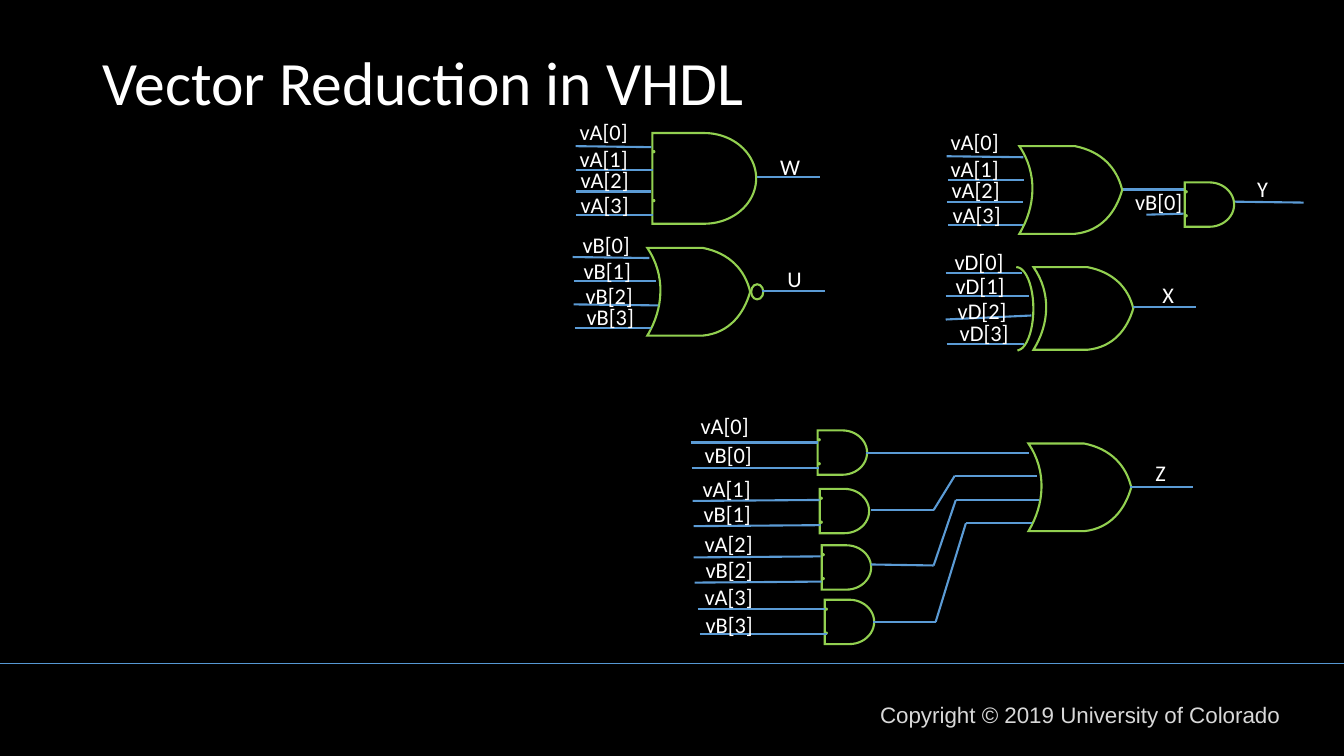
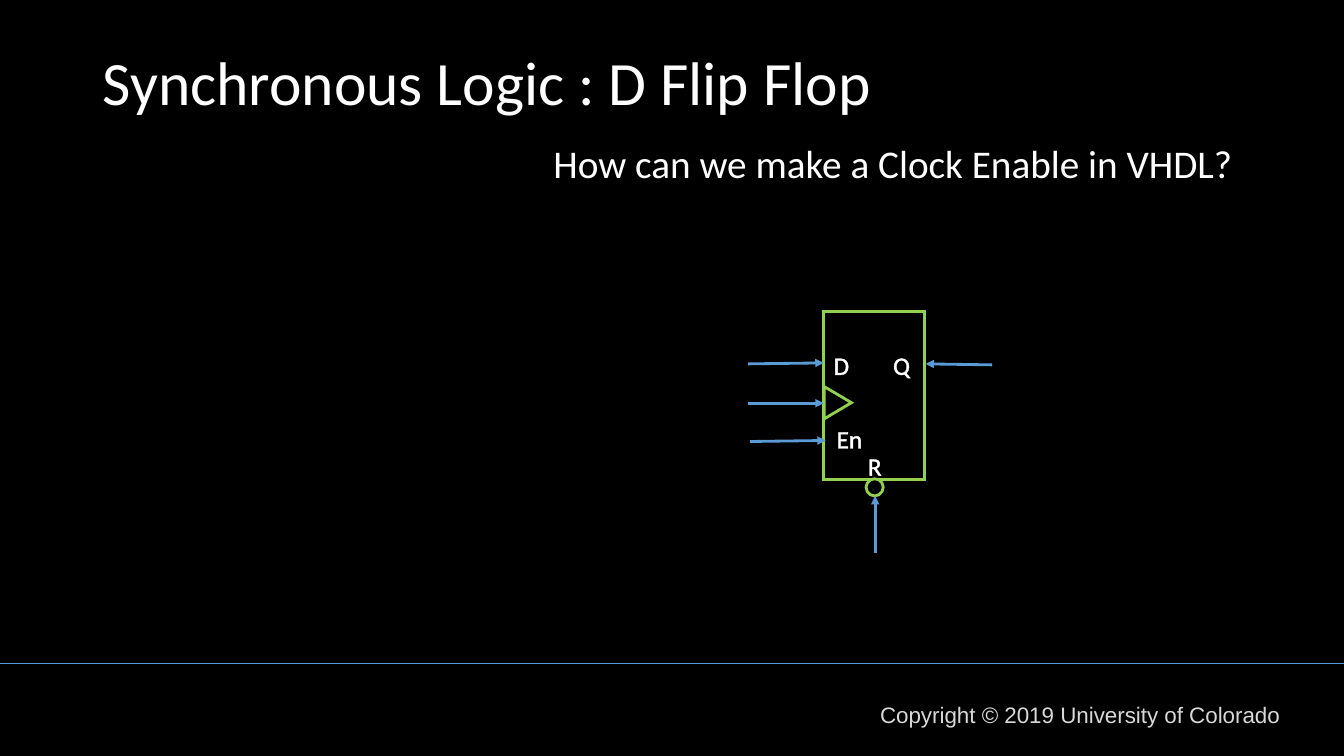
import pptx
import pptx.dml.color
import pptx.enum.shapes
import pptx.enum.text
import pptx.oxml.ns
import pptx.util
from lxml import etree
from pptx.util import Inches

COLORS = {
    "background": "000000",
    "text": "FFFFFF",
    "footer": "D8D8D8",
    "rule": "5698D3",
    "wire": "5B9BD5",
    "gate": "92D050",
}
SHAPES = pptx.enum.shapes.MSO_SHAPE
SMALL_GATE = (0.49, 0.44)
LARGE_GATE = (1.03, 0.9)
OR_GATE = (1.02, 0.87)
XOR_GATE = (0.99, 0.82)
OR_CORNERS = [(0, 0), (0.54, 0), (1, 0.5), (0.54, 1), (0, 1), (0, 0)]
OR_CURVES = {
    1: [(0.8, 0.06), (0.95, 0.25)],
    2: [(0.94, 0.75), (0.8, 0.97)],
    4: [(0.16, 0.69), (0.18, 0.31)],
}


def color(name):
    return pptx.dml.color.RGBColor.from_string(COLORS[name])


def add_child(parent, tag, position=None, **attributes):
    child = etree.Element(pptx.oxml.ns.qn(tag), **attributes)
    parent.insert(len(parent) if position is None else position, child)
    return child


def add_text(slide, text, left, top, width, height, size=16, font="Calibri",
             fill="text", wrap=True, grow=False, middle=False, line_spacing=None,
             outlined=False):
    box = slide.shapes.add_textbox(Inches(left), Inches(top), Inches(width), Inches(height))
    frame = box.text_frame
    frame.word_wrap = wrap
    if grow:
        frame.auto_size = pptx.enum.text.MSO_AUTO_SIZE.SHAPE_TO_FIT_TEXT
    if middle:
        frame.vertical_anchor = pptx.enum.text.MSO_ANCHOR.MIDDLE
    paragraph = frame.paragraphs[0]
    paragraph.line_spacing = line_spacing
    run = paragraph.add_run()
    run.text = text
    run.font.size = pptx.util.Pt(size)
    run.font.name = font
    run.font.color.rgb = color(fill)
    if outlined:
        outline = add_child(run._r.get_or_add_rPr(), "a:ln", 0, w="6350")
        solid = add_child(outline, "a:solidFill")
        add_child(solid, "a:srgbClr", val=COLORS[fill])


def add_label(slide, text, left, top, width=0.68):
    add_text(slide, text, left, top, width, 0.37, wrap=False, grow=True)


def add_pin_name(slide, text, left, top, width):
    add_text(slide, text, left, top, width, 0.4, size=18, wrap=False, grow=True,
             outlined=True)


def add_line(slide, start, end, stroke="wire", weight=1.5, arrow=False):
    points = [Inches(value) for value in (*start, *end)]
    line = slide.shapes.add_connector(pptx.enum.shapes.MSO_CONNECTOR.STRAIGHT, *points)
    line.line.color.rgb = color(stroke)
    line.line.width = pptx.util.Pt(weight)
    if arrow:
        add_child(line.line._get_or_add_ln(), "a:tailEnd", type="triangle")
    add_child(line._element.spPr, "a:effectLst")


def add_path(slide, *points):
    for start, end in zip(points, points[1:]):
        add_line(slide, start, end)


def style_outline(shape, weight=1.5):
    shape.shadow.inherit = False
    shape.fill.solid()
    shape.fill.fore_color.rgb = color("background")
    shape.line.color.rgb = color("gate")
    shape.line.width = pptx.util.Pt(weight)
    add_child(shape.line._get_or_add_ln(), "a:miter", lim="800000")


def add_outline(slide, kind, left, top, width, height, weight=1.5):
    shape = slide.shapes.add_shape(kind, Inches(left), Inches(top), Inches(width), Inches(height))
    style_outline(shape, weight)
    return shape


def add_and_gate(slide, left, top, size=SMALL_GATE):
    width, height = size
    add_outline(slide, SHAPES.FLOWCHART_DELAY, left, top, width, height)
    for fraction in (0.2, 0.74):
        add_outline(slide, SHAPES.FLOWCHART_CONNECTOR,
                    left + 0.01, top + fraction * height, 0.01, 0.01)


def add_or_gate(slide, left, top, size=OR_GATE):
    width, height = size
    corners = [(Inches(left + x * width), Inches(top + y * height)) for x, y in OR_CORNERS]
    builder = slide.shapes.build_freeform(*corners[0])
    builder.add_line_segments(corners[1:], close=True)
    shape = builder.convert_to_shape()
    segments = list(shape._element.iter(pptx.oxml.ns.qn("a:lnTo")))
    for index, controls in OR_CURVES.items():
        segment = segments[index]
        segment.tag = pptx.oxml.ns.qn("a:cubicBezTo")
        for position, (x, y) in enumerate(controls):
            add_child(segment, "a:pt", position,
                      x=str(Inches(x * width)), y=str(Inches(y * height)))
    style_outline(shape)


def add_inputs(slide, vector, labels, wires, label_width=0.68):
    for index, (label, wire) in enumerate(zip(labels, wires)):
        start_x, start_y, end_x, end_y = wire
        add_line(slide, (start_x, start_y), (end_x, end_y))
        add_label(slide, f"{vector}[{index}]", *label, label_width)


def add_output(slide, name, left, y, label_left, label_top, label_width):
    add_line(slide, (left, y), (left + 0.62, y))
    add_label(slide, name, label_left, label_top, label_width)


def add_slide(presentation, title):
    slide = presentation.slides.add_slide(presentation.slide_layouts[6])
    slide.background.fill.solid()
    slide.background.fill.fore_color.rgb = color("background")
    add_line(slide, (0, 6.58), (13.33, 6.58), stroke="rule", weight=1)
    add_text(slide, "Copyright © 2019 University of Colorado", 8.63, 6.91, 4.7, 0.37,
             font="Arial", fill="footer")
    add_text(slide, title, 0.92, 0.4, 11.5, 0.9, size=44, middle=True, line_spacing=0.9)
    return slide


def add_and_reduction(slide):
    add_and_gate(slide, 6.47, 1.32, LARGE_GATE)
    add_inputs(slide, "vA",
               [(5.65, 1.12), (5.65, 1.39), (5.66, 1.6), (5.66, 1.85)],
               [(5.71, 1.45, 6.46, 1.46), (5.71, 1.69, 6.48, 1.69),
                (5.71, 1.9, 6.46, 1.9), (5.71, 2.13, 6.48, 2.13)])
    add_output(slide, "W", 7.51, 1.76, 7.64, 1.47, 0.4)


def add_nor_reduction(slide):
    add_or_gate(slide, 6.42, 2.46)
    add_outline(slide, SHAPES.FLOWCHART_CONNECTOR, 7.45, 2.82, 0.12, 0.15)
    add_inputs(slide, "vB",
               [(5.68, 2.24), (5.69, 2.5), (5.71, 2.75), (5.72, 2.96)],
               [(5.68, 2.55, 6.44, 2.56), (5.69, 2.79, 6.51, 2.79),
                (5.69, 3.02, 6.53, 3.03), (5.7, 3.25, 6.46, 3.25)])
    add_output(slide, "U", 7.56, 2.89, 7.71, 2.58, 0.35)


def add_or_and_reduction(slide):
    add_inputs(slide, "vA",
               [(9.33, 1.22), (9.33, 1.49), (9.34, 1.7), (9.35, 1.95)],
               [(9.39, 1.55, 10.15, 1.56), (9.4, 1.79, 10.16, 1.79),
                (9.39, 2, 10.15, 2), (9.4, 2.23, 10.16, 2.23)])
    add_line(slide, (11.14, 1.88), (11.76, 1.88))
    add_line(slide, (11.37, 2.13), (11.74, 2.12))
    add_line(slide, (12.19, 2), (12.93, 2.01))
    add_label(slide, "vB[0]", 11.16, 1.82)
    add_label(slide, "Y", 12.37, 1.69, 0.32)
    add_or_gate(slide, 10.11, 1.45)
    add_and_gate(slide, 11.75, 1.81)


def add_xor_reduction(slide):
    add_or_gate(slide, 10.25, 2.65, XOR_GATE)
    arc = add_outline(slide, SHAPES.ARC, 9.91, 2.65, 0.34, 0.83)
    arc.adjustments[0] = 162
    arc.adjustments[1] = 52.952
    add_inputs(slide, "vD",
               [(9.37, 2.41), (9.38, 2.65), (9.4, 2.9), (9.42, 3.12)],
               [(9.38, 2.71, 10.14, 2.71), (9.38, 2.94, 10.21, 2.94),
                (9.38, 3.17, 10.23, 3.13), (9.39, 3.41, 10.16, 3.41)],
               label_width=0.69)
    add_output(slide, "X", 11.24, 3.05, 11.43, 2.74, 0.32)


def add_and_or_network(slide):
    gates = [(8.11, 4.27), (8.13, 4.85), (8.15, 5.41), (8.18, 5.95)]
    for left, top in gates:
        add_and_gate(slide, left, top)
    inputs = {
        "vA": ([(6.85, 4.04), (6.87, 4.66), (6.89, 5.21), (6.89, 5.74)],
               [(6.85, 4.39, 4.39), (6.87, 4.97, 4.96),
                (6.88, 5.53, 5.52), (6.92, 6.04, 6.04)]),
        "vB": ([(6.89, 4.33), (6.88, 4.91), (6.9, 5.47), (6.9, 6.01)],
               [(6.86, 4.64, 4.64), (6.88, 5.22, 5.21),
                (6.89, 5.78, 5.77), (6.94, 6.29, 6.29)]),
    }
    for vector, (labels, starts) in inputs.items():
        wires = [(left, start_y, left + 1.26, end_y) for left, start_y, end_y in starts]
        add_inputs(slide, vector, labels, wires)
    add_or_gate(slide, 10.2, 4.4)
    add_path(slide, (8.59, 4.49), (9.5, 4.49), (10.21, 4.49))
    add_path(slide, (8.64, 5.06), (9.26, 5.06), (9.47, 4.72), (10.29, 4.72))
    add_path(slide, (8.64, 5.6), (9.26, 5.61), (9.48, 4.96), (10.3, 4.96))
    add_path(slide, (8.66, 6.17), (9.28, 6.17), (9.58, 5.19), (10.24, 5.19))
    add_output(slide, "Z", 11.21, 4.83, 11.36, 4.51, 0.31)


def build_vector_reduction(presentation):
    slide = add_slide(presentation, "Vector Reduction in VHDL")
    add_and_or_network(slide)
    add_and_reduction(slide)
    add_nor_reduction(slide)
    add_or_and_reduction(slide)
    add_xor_reduction(slide)


def build_flip_flop(presentation):
    slide = add_slide(presentation, "Synchronous Logic : D Flip Flop")
    add_text(slide, "How can we make a Clock Enable in VHDL?", 5.39, 1.39, 7.25, 1.11,
             size=28, line_spacing=0.9)
    add_outline(slide, SHAPES.RECTANGLE, 8.17, 3.09, 1, 1.67, weight=2)
    clock = add_outline(slide, SHAPES.ISOSCELES_TRIANGLE, 8.15, 3.86, 0.32, 0.27, weight=2)
    clock.rotation = 90
    pins = [("D", 8.17, 3.42, 0.36), ("Q", 8.76, 3.42, 0.36),
            ("En", 8.2, 4.15, 0.46), ("R", 8.51, 4.42, 0.34)]
    for pin in pins:
        add_pin_name(slide, *pin)
    add_outline(slide, SHAPES.FLOWCHART_CONNECTOR, 8.59, 4.75, 0.17, 0.17, weight=2)
    arrows = [((7.42, 3.61), (8.17, 3.6)), ((7.42, 4), (8.17, 4)),
              ((7.44, 4.38), (8.19, 4.37)), ((9.84, 3.62), (9.18, 3.61)),
              ((8.68, 5.49), (8.68, 4.92))]
    for start, end in arrows:
        add_line(slide, start, end, weight=2, arrow=True)


def main():
    presentation = pptx.Presentation()
    presentation.slide_width = Inches(13.33)
    presentation.slide_height = Inches(7.5)
    build_vector_reduction(presentation)
    build_flip_flop(presentation)
    presentation.save("out.pptx")


if __name__ == "__main__":
    main()
